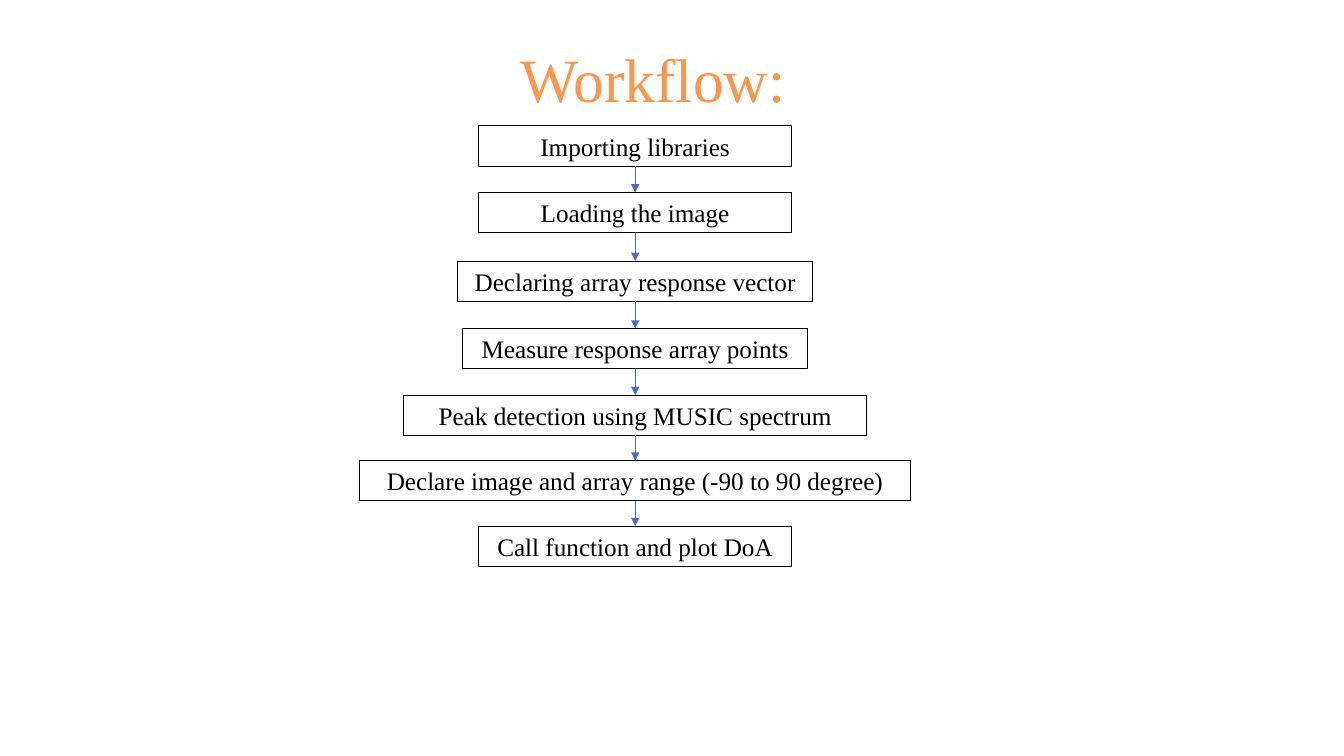
import pptx
import pptx.util
import pptx.dml.color
import pptx.enum.shapes
import pptx.enum.text
from lxml import etree
from pptx.oxml.ns import qn
from pptx.util import Inches

COLORS = {"title": "FB974D", "text": "000000", "border": "000000", "arrow": "4E67C8"}
HIGH = 0.4
MID = 6.3

# label, top, width
STEPS = [
    ("Importing libraries", 1.25, 3.11),
    ("Loading the image", 1.91, 3.11),
    ("Declaring array response vector", 2.59, 3.52),
    ("Measure response array points", 3.26, 3.42),
    ("Peak detection using MUSIC spectrum", 3.92, 4.59),
    ("Declare image and array range (-90 to 90 degree)", 4.57, 5.47),
    ("Call function and plot DoA", 5.22, 3.11),
]


def color(name):
    return pptx.dml.color.RGBColor.from_string(COLORS[name])


def write(shape, text, size, tint):
    """Put one run of text into a shape, centred vertically."""
    frame = shape.text_frame
    frame.word_wrap = True
    frame.vertical_anchor = pptx.enum.text.MSO_ANCHOR.MIDDLE
    para = frame.paragraphs[0]
    run = para.add_run()
    run.text = text
    run.font.name = "Times New Roman"
    run.font.size = pptx.util.Pt(size)
    run.font.color.rgb = color(tint)
    return para


deck = pptx.Presentation()
deck.slide_width = Inches(13.33)
deck.slide_height = Inches(7.5)
slide = deck.slides.add_slide(deck.slide_layouts[6])
shapes = slide.shapes

title = shapes.add_textbox(Inches(5.06), Inches(0.39), Inches(3.21), Inches(0.86))
write(title, "Workflow:", 44, "title").line_spacing = 0.9

for label, top, width in STEPS:
    box = shapes.add_shape(
        pptx.enum.shapes.MSO_SHAPE.RECTANGLE,
        Inches(MID - width / 2), Inches(top), Inches(width), Inches(HIGH))
    box.shadow.inherit = False
    box.fill.background()
    box.line.color.rgb = color("border")
    box.line.width = pptx.util.Pt(0.75)
    write(box, label, 18, "text").alignment = pptx.enum.text.PP_ALIGN.CENTER

# Each arrow runs from the bottom of a step to the top of the next
for (_, top, _), (_, goal, _) in zip(STEPS, STEPS[1:]):
    arrow = shapes.add_connector(
        pptx.enum.shapes.MSO_CONNECTOR.STRAIGHT,
        Inches(MID), Inches(top + HIGH), Inches(MID), Inches(goal))
    arrow.line.color.rgb = color("arrow")
    arrow.line.width = pptx.util.Pt(0.5)
    etree.SubElement(arrow.line._get_or_add_ln(), qn("a:tailEnd"), type="triangle")
    etree.SubElement(arrow._element.spPr, qn("a:effectLst"))

deck.save("out.pptx")
